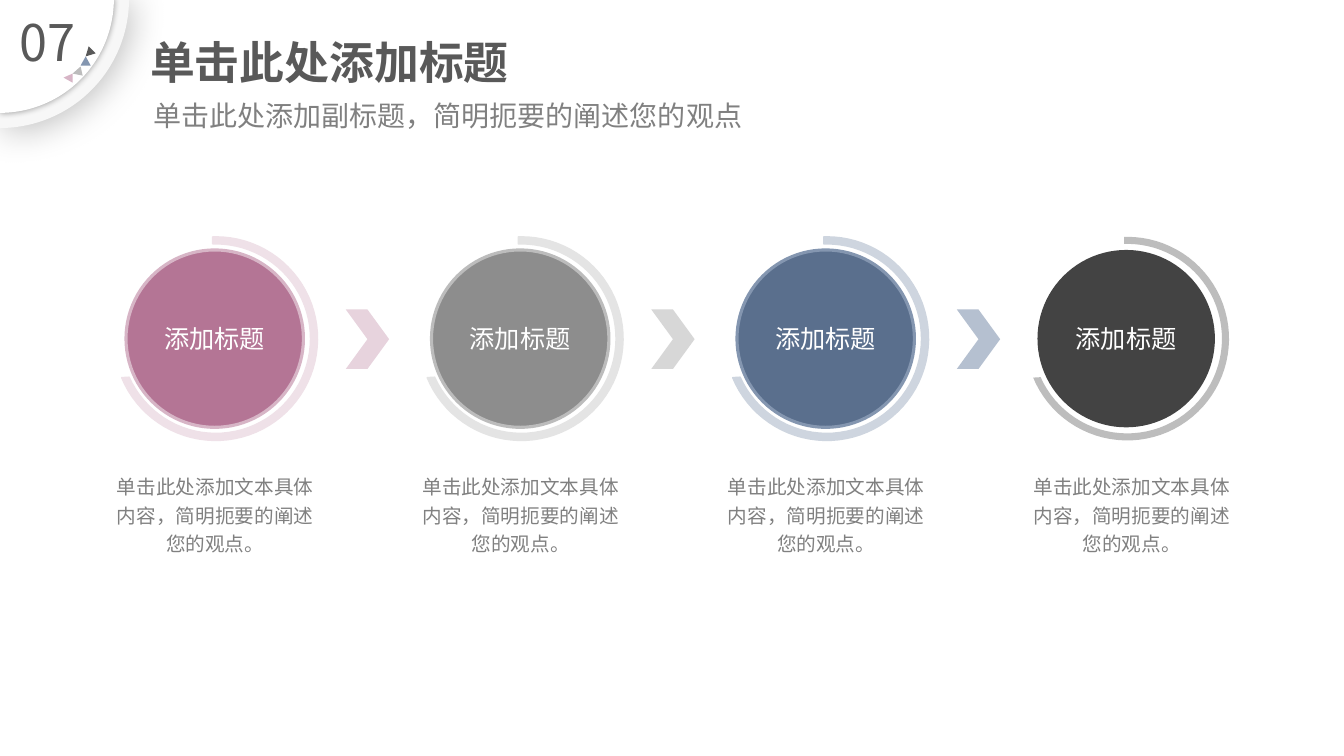
from dataclasses import dataclass
from math import cos, radians, sin

from lxml import etree
from pptx import Presentation
from pptx import util as u
from pptx.dml.color import RGBColor
from pptx.enum import shapes, text
from pptx.oxml import ns

PX = 9144  # EMU in one px, 100 px to the inch


@dataclass(frozen=True)
class Theme:
    font: str = "Noto Sans CJK SC"
    white: str = "FFFFFF"
    corner: str = "F7F7F7"
    dark: str = "595959"
    muted: str = "808080"
    rose: str = "D7B5C6"
    silver: str = "BCBCBC"
    steel: str = "8496B0"
    number_size: int = 36
    title_size: int = 32
    subtitle_size: int = 20
    label_size: int = 18
    body_size: int = 14


@dataclass(frozen=True)
class Step:
    center: int
    disc: str
    edge: str | None
    ring: str
    ring_line: str | None
    chevron: str | None


def arc(center_x, center_y, radius, start, end, pieces=60):
    """Points along an arc; angles in degrees, clockwise from the right."""
    angles = [radians(start + (end - start) * i / pieces) for i in range(pieces + 1)]
    return [(center_x + radius * cos(a), center_y + radius * sin(a)) for a in angles]


class SlideBuilder:
    def __init__(self, slide, theme):
        self.slide = slide
        self.theme = theme

    def paint(self, shape, fill, line=None, line_width=1):
        shape.shadow.inherit = False
        shape.fill.solid()
        shape.fill.fore_color.rgb = RGBColor.from_string(fill)
        if line:
            shape.line.color.rgb = RGBColor.from_string(line)
            shape.line.width = u.Pt(line_width)
        else:
            shape.line.fill.background()

    def set_words(self, shape, words, size, color, align=text.PP_ALIGN.CENTER,
                  anchor=text.MSO_ANCHOR.TOP, spacing=1.0, bold=False):
        frame = shape.text_frame
        frame.text = words
        frame.word_wrap = True
        frame.vertical_anchor = anchor
        paragraph = frame.paragraphs[0]
        paragraph.alignment = align
        paragraph.line_spacing = spacing
        font = paragraph.runs[0].font
        font.size = u.Pt(size)
        font.bold = bold
        font.color.rgb = RGBColor.from_string(color)
        font.name = self.theme.font
        properties = paragraph.runs[0]._r.get_or_add_rPr()
        etree.SubElement(properties, ns.qn("a:ea"), typeface=self.theme.font)

    def preset(self, kind, left, top, width, height, fill, line=None, line_width=1):
        shape = self.slide.shapes.add_shape(
            kind, left * PX, top * PX, width * PX, height * PX)
        self.paint(shape, fill, line, line_width)
        return shape

    def outline(self, points, fill, line=None):
        corners = [(round(x * PX), round(y * PX)) for x, y in points]
        builder = self.slide.shapes.build_freeform(*corners[0], scale=1.0)
        builder.add_line_segments(corners[1:], close=True)
        shape = builder.convert_to_shape()
        self.paint(shape, fill, line)
        return shape

    def textbox(self, left, top, width, height, words, size, color, **style):
        shape = self.slide.shapes.add_textbox(
            left * PX, top * PX, width * PX, height * PX)
        self.set_words(shape, words, size, color, **style)

    def cast_shadow(self, shape, opacity, blur, distance, angle):
        effects = shape._element.spPr.find(ns.qn("a:effectLst"))
        shadow = etree.SubElement(
            effects, ns.qn("a:outerShdw"), blurRad=str(int(u.Pt(blur))),
            dist=str(int(u.Pt(distance))), dir=str(angle * 60000), rotWithShape="0")
        color = etree.SubElement(shadow, ns.qn("a:srgbClr"), val="000000")
        etree.SubElement(color, ns.qn("a:alpha"), val=str(opacity * 1000))

    def corner_disc(self, radius, fill, **shadow):
        """A quarter disc in the top left corner of the slide."""
        shape = self.outline([(0, -1)] + arc(0, -1, radius, 0, 90), fill)
        self.cast_shadow(shape, **shadow)

    def ring(self, center_x, center_y, outer, inner, fill, line):
        """An open ring that runs from the top round to the lower left."""
        lip = center_x - 3
        points = [(lip, center_y - outer)]
        points += arc(center_x, center_y, outer, -90, 157.5)
        points += arc(center_x, center_y, inner, 156, -90)
        points.append((lip, center_y - inner))
        self.outline(points, fill, line)


STEPS = [
    Step(213, "B47595", "D7B5C6", "EFE1E8", "EFE1E8", "E7D3DD"),
    Step(516, "8D8D8D", "BCBCBC", "E4E4E4", "E4E4E4", "D7D7D7"),
    Step(819, "5A6F8D", "8496B0", "CED5DF", "CED5DF", "B5C0D0"),
    Step(1117, "434343", None, "BDBDBD", None, None),
]
MIDDLE = 336
DISC = 176
PITCH = 303


def draw_header(builder):
    theme = builder.theme
    builder.corner_disc(128, theme.corner, opacity=25, blur=26, distance=3, angle=45)
    builder.corner_disc(113, theme.white, opacity=40, blur=5, distance=0, angle=0)
    triangles = [
        (theme.dark, [(88, 46), (95, 53), (85, 56)]),
        (theme.steel, [(85, 56), (90, 65), (80, 65)]),
        (theme.silver, [(80, 66), (82, 75), (72, 73)]),
        (theme.rose, [(72, 73), (72, 82), (63, 77)]),
    ]
    for color, points in triangles:
        builder.outline(points, color)
    builder.textbox(4, 6, 87, 71, "07", theme.number_size, theme.dark)
    builder.textbox(139, 41, 618, 52, "单击此处添加标题", theme.title_size, theme.dark,
                    align=text.PP_ALIGN.LEFT, anchor=text.MSO_ANCHOR.BOTTOM,
                    spacing=0.9, bold=True)
    builder.textbox(142, 97, 616, 38, "单击此处添加副标题，简明扼要的阐述您的观点",
                    theme.subtitle_size, theme.muted,
                    align=text.PP_ALIGN.LEFT, spacing=0.9)


def draw_step(builder, index, step):
    theme = builder.theme
    disc = builder.preset(shapes.MSO_SHAPE.OVAL, step.center - DISC // 2,
                          MIDDLE - DISC // 2, DISC, DISC, step.disc, step.edge, 2.25)
    builder.set_words(disc, "添加标题", theme.label_size, theme.white,
                      anchor=text.MSO_ANCHOR.MIDDLE)
    builder.ring(step.center + 1, MIDDLE, 101, 94, step.ring, step.ring_line)
    builder.textbox(97 + PITCH * index, 462, 233, 102,
                    "单击此处添加文本具体内容，简明扼要的阐述您的观点。",
                    theme.body_size, theme.muted, spacing=1.2)
    if step.chevron:
        builder.preset(shapes.MSO_SHAPE.CHEVRON, 343 + PITCH * index, 307, 43, 59,
                       step.chevron)


def main():
    presentation = Presentation()
    presentation.slide_width = 1333 * PX
    presentation.slide_height = 750 * PX
    slide = presentation.slides.add_slide(presentation.slide_layouts[6])
    builder = SlideBuilder(slide, Theme())
    draw_header(builder)
    for index, step in enumerate(STEPS):
        draw_step(builder, index, step)
    presentation.save("out.pptx")


if __name__ == "__main__":
    main()
